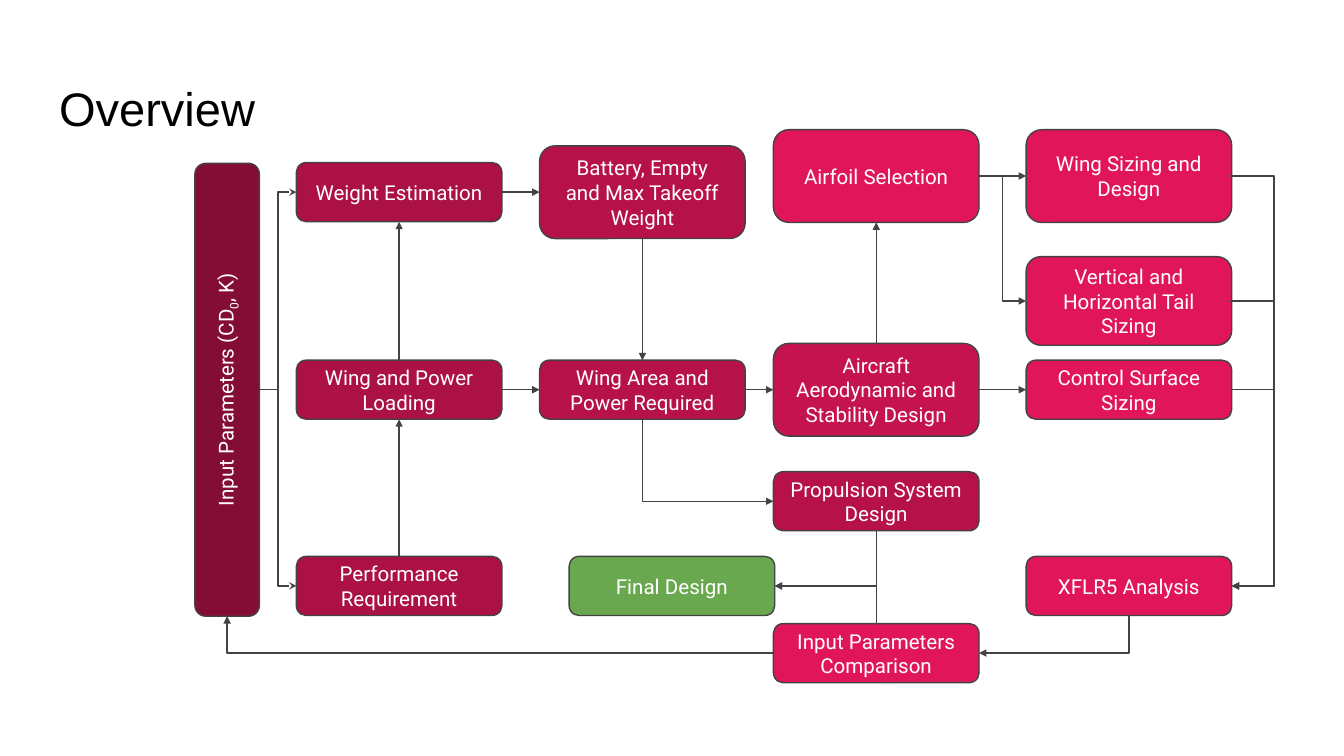
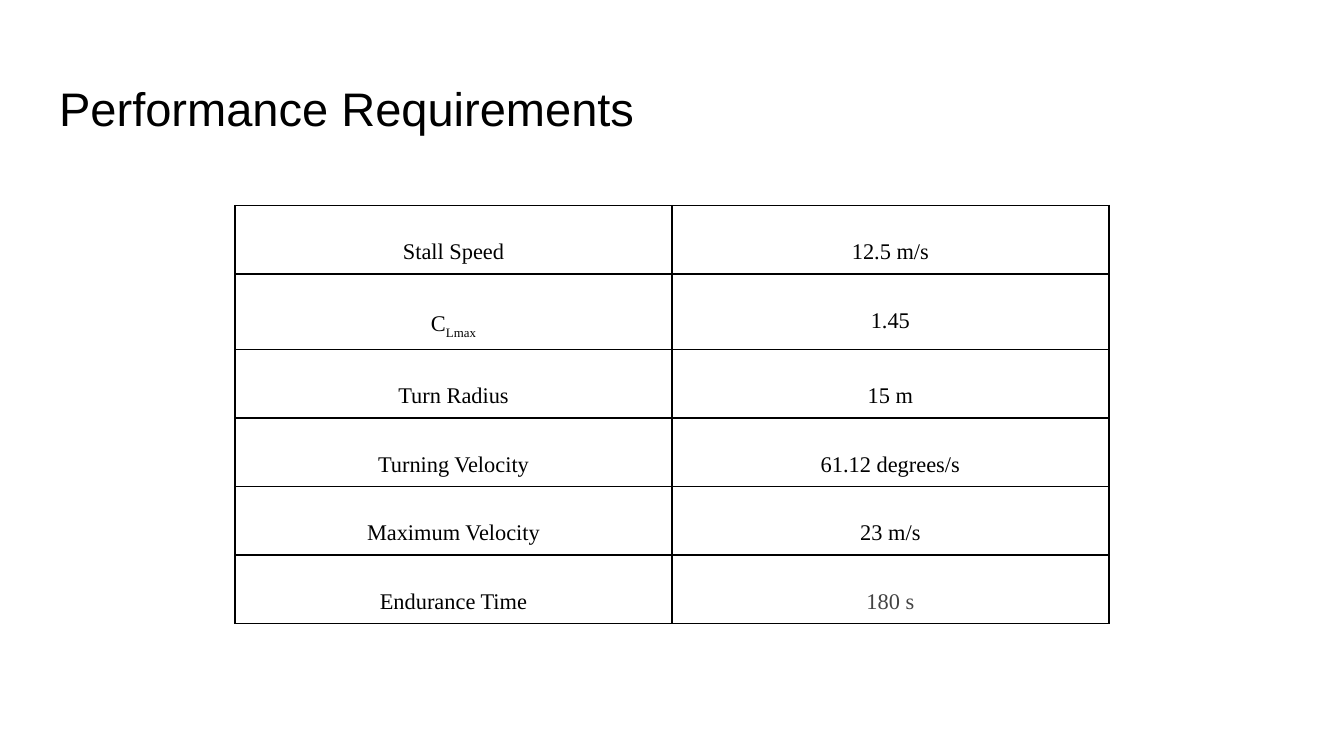
from lxml.etree import SubElement
from pptx import Presentation
from pptx.dml.color import RGBColor
from pptx.enum.shapes import MSO_CONNECTOR, MSO_SHAPE
from pptx.enum.text import MSO_ANCHOR, MSO_AUTO_SIZE, PP_ALIGN
from pptx.oxml.ns import qn
from pptx.util import Inches, Pt

BLACK, WHITE, GREY, GREEN = "000000", "FFFFFF", "434343", "6AA84F"
WINE, RUBY, CRIMSON, ROSE, PINK = "840D35", "AC1145", "B61249", "C4134E", "E1165A"
TITLE_FONT = {"name": "Arial", "size": Pt(25.2), "bold": False}
BOX_FONT = {"name": "Roboto", "size": Pt(11)}
TABLE_FONT = {"name": "Times New Roman", "size": Pt(12), "bold": False}
FRAME_FORMAT = {
    "margin_left": Inches(0.1), "margin_right": Inches(0.1),
    "margin_top": Inches(0.1), "margin_bottom": Inches(0.1),
    "auto_size": MSO_AUTO_SIZE.NONE, "word_wrap": True,
}


def color(value):
    return RGBColor.from_string(value)


def add_spans(para, text, font_format, font_color):
    for index, part in enumerate(text.split("_")):
        span = para.add_run()
        span.text = part
        for name, value in font_format.items():
            setattr(span.font, name, value)
        span.font.color.rgb = color(font_color)
        if index == 1:
            span.font._element.set("baseline", "-25000")


deck = Presentation()
deck.slide_width = Inches(10)
deck.slide_height = deck.slide_width * 9 // 16

pages = []
for heading in ("Overview", "Performance Requirements"):
    page = deck.slides.add_slide(deck.slide_layouts[5])
    title = page.shapes.title
    title.left, title.top = Inches(0.34), Inches(0.49)
    title.width, title.height = Inches(9.32), Inches(0.63)
    for name, value in FRAME_FORMAT.items():
        setattr(title.text_frame, name, value)
    title.text_frame.vertical_anchor = MSO_ANCHOR.TOP
    para = title.text_frame.paragraphs[0]
    para.alignment = PP_ALIGN.LEFT
    add_spans(para, heading, TITLE_FONT, BLACK)
    pages.append(page)
overview, requirements = pages

LOW, MEDIUM, HIGH, BOX_WIDTH = 0.44, 0.66, 0.69, 1.53
boxes = {
    "input": ("Input Parameters (CD_0_, K)", 1.69, 2.9, 3.37, WINE),
    "weight": ("Weight Estimation", 2.97, 1.43, LOW, RUBY),
    "loading": ("Wing and Power Loading", 2.97, 2.9, LOW, RUBY),
    "performance": ("Performance Requirement", 2.97, 4.36, LOW, RUBY),
    "battery": ("Battery, Empty and Max Takeoff Weight", 4.78, 1.43, HIGH, CRIMSON),
    "area": ("Wing Area and Power Required", 4.78, 2.9, LOW, CRIMSON),
    "final": ("Final Design", 5, 4.36, LOW, GREEN),
    "airfoil": ("Airfoil Selection", 6.52, 1.31, HIGH, PINK),
    "stability": ("Aircraft Aerodynamic and Stability Design", 6.52, 2.9, HIGH, ROSE),
    "propulsion": ("Propulsion System Design", 6.52, 3.73, LOW, CRIMSON),
    "comparison": ("Input Parameters Comparison", 6.52, 4.86, LOW, PINK),
    "wing": ("Wing Sizing and Design", 8.4, 1.31, HIGH, PINK),
    "tail": ("Vertical and Horizontal Tail Sizing", 8.4, 2.24, MEDIUM, PINK),
    "control": ("Control Surface Sizing", 8.4, 2.9, LOW, PINK),
    "analysis": ("XFLR5 Analysis", 8.4, 4.36, LOW, PINK),
}

sides = {}
for key, (text, x, y, height, fill) in boxes.items():
    upright = key == "input"
    width = 0.48 if upright else BOX_WIDTH
    sides[key] = {
        "left": (x - width / 2, y), "right": (x + width / 2, y),
        "top": (x, y - height / 2), "bottom": (x, y + height / 2),
    }
    if upright:
        width, height = height, width
    box = overview.shapes.add_shape(
        MSO_SHAPE.ROUNDED_RECTANGLE, Inches(x - width / 2), Inches(y - height / 2),
        Inches(width), Inches(height))
    box.rotation = 270 if upright else 0
    box.shadow.inherit = False
    box.fill.solid()
    box.fill.fore_color.rgb = color(fill)
    box.line.color.rgb = color(GREY)
    box.line.width = Pt(0.75)
    for name, value in FRAME_FORMAT.items():
        setattr(box.text_frame, name, value)
    box.text_frame.vertical_anchor = MSO_ANCHOR.MIDDLE
    para = box.text_frame.paragraphs[0]
    para.alignment = PP_ALIGN.CENTER
    add_spans(para, text, BOX_FONT, WHITE)

STRAIGHT, ELBOW, CORNER, LOOP = "line", "bentConnector3", "bentConnector2", "loop"
links = [
    ("input", "right", "weight", "left", ELBOW, "tailEnd"),
    ("input", "right", "performance", "left", ELBOW, "tailEnd"),
    ("performance", "top", "loading", "bottom", STRAIGHT, "tailEnd"),
    ("loading", "top", "weight", "bottom", STRAIGHT, "tailEnd"),
    ("weight", "right", "battery", "left", STRAIGHT, "tailEnd"),
    ("loading", "right", "area", "left", STRAIGHT, "tailEnd"),
    ("battery", "bottom", "area", "top", STRAIGHT, "tailEnd"),
    ("area", "right", "stability", "left", STRAIGHT, "tailEnd"),
    ("propulsion", "left", "area", "bottom", CORNER, "headEnd"),
    ("stability", "top", "airfoil", "bottom", STRAIGHT, "tailEnd"),
    ("airfoil", "right", "wing", "left", STRAIGHT, "tailEnd"),
    ("airfoil", "right", "tail", "left", ELBOW, "tailEnd"),
    ("stability", "right", "control", "left", STRAIGHT, "tailEnd"),
    ("wing", "right", "analysis", "right", LOOP, "tailEnd"),
    ("tail", "right", "analysis", "right", LOOP, "tailEnd"),
    ("control", "right", "analysis", "right", LOOP, "tailEnd"),
    ("comparison", "right", "analysis", "bottom", CORNER, "headEnd"),
    ("comparison", "left", "input", "bottom", CORNER, "tailEnd"),
    ("final", "right", "propulsion", "bottom", CORNER, "headEnd"),
    ("final", "right", "comparison", "top", CORNER, "headEnd"),
]
for start, start_side, end, end_side, route, arrow_end in links:
    start_x, start_y = sides[start][start_side]
    end_x, end_y = sides[end][end_side]
    if route == LOOP:
        start_x -= 0.01
    kind = MSO_CONNECTOR.STRAIGHT if route == STRAIGHT else MSO_CONNECTOR.ELBOW
    link = overview.shapes.add_connector(
        kind, Inches(start_x), Inches(start_y), Inches(end_x), Inches(end_y))
    link.line.color.rgb = color(GREY)
    link.line.width = Pt(0.75)
    properties = link._element.spPr
    geometry = properties.find(qn("a:prstGeom"))
    if route == CORNER:
        geometry.set("prst", CORNER)
    if route == LOOP:
        SubElement(geometry.find(qn("a:avLst")), qn("a:gd"), name="adj1", fmla="val 3300000")
    head = {"type": "stealth" if start == "input" else "triangle", "w": "sm", "len": "sm"}
    SubElement(properties.find(qn("a:ln")), qn("a:" + arrow_end), head)
    SubElement(properties, qn("a:effectLst"))

rows = [
    ("Stall Speed", "12.5 m/s"),
    ("C_Lmax", "1.45"),
    ("Turn Radius", "15 m"),
    ("Turning Velocity", "61.12 degrees/s"),
    ("Maximum Velocity", "23 m/s"),
    ("Endurance Time", "180 s"),
]
table = requirements.shapes.add_table(
    len(rows), 2, Inches(1.75), Inches(1.53), Inches(6.5), Inches(3.11)).table
table.first_row = table.horz_banding = False
for row_index, values in enumerate(rows):
    table.rows[row_index].height = Inches(0.56 if "_" in values[0] else 0.51)
    for column_index, text in enumerate(values):
        cell = table.cell(row_index, column_index)
        for side in ("left", "right", "top", "bottom"):
            setattr(cell, "margin_" + side, Inches(0.07))
        for edge in ("lnL", "lnR", "lnT", "lnB"):
            border = SubElement(cell._tc.get_or_add_tcPr(), qn("a:" + edge), w=str(Pt(1)))
            paint = SubElement(border, qn("a:solidFill"))
            SubElement(paint, qn("a:srgbClr"), val=BLACK)
        cell.fill.background()
        para = cell.text_frame.paragraphs[0]
        para.alignment = PP_ALIGN.CENTER
        para.line_spacing = 2.0
        add_spans(para, text, TABLE_FONT, GREY if text == "180 s" else BLACK)

deck.save("out.pptx")
